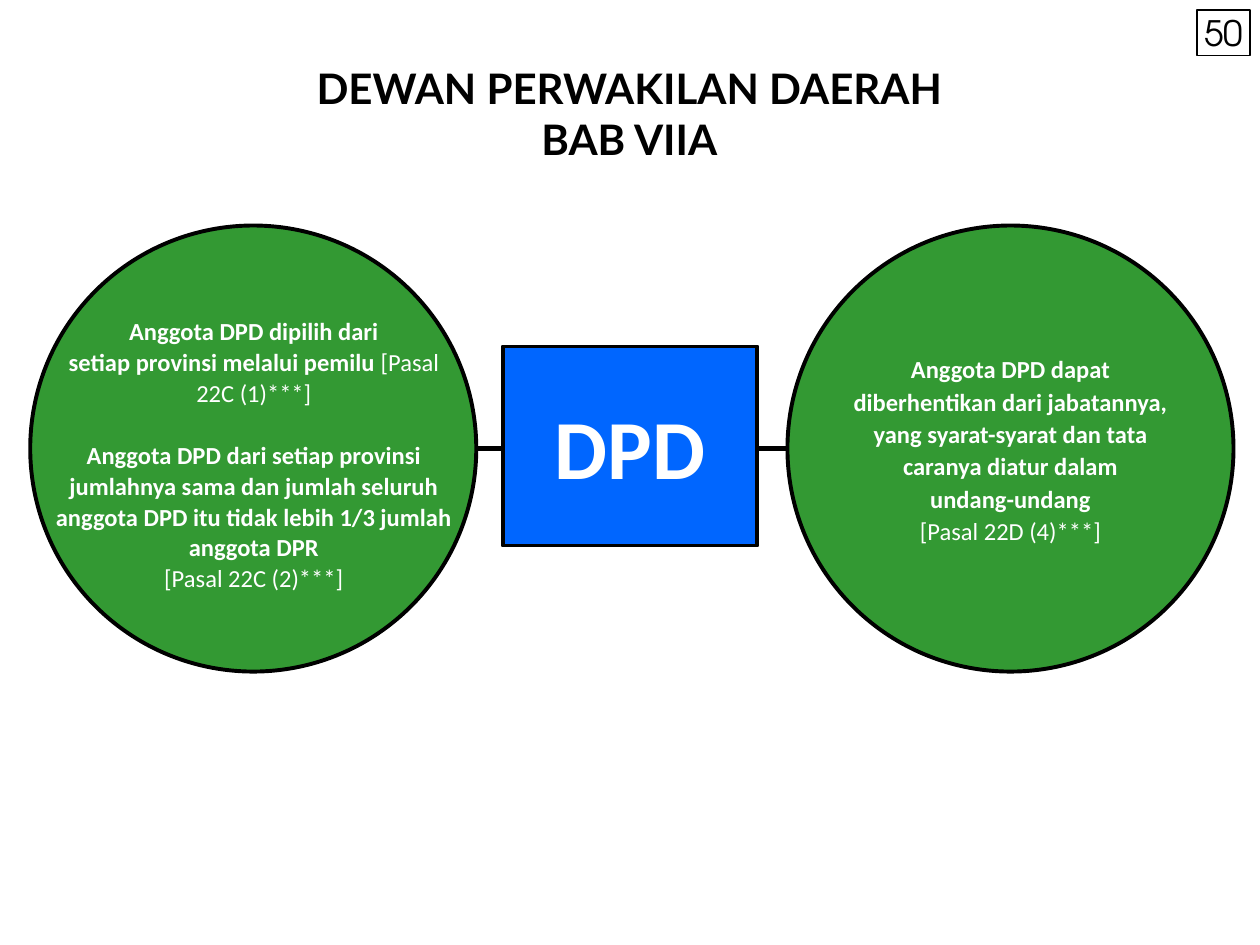
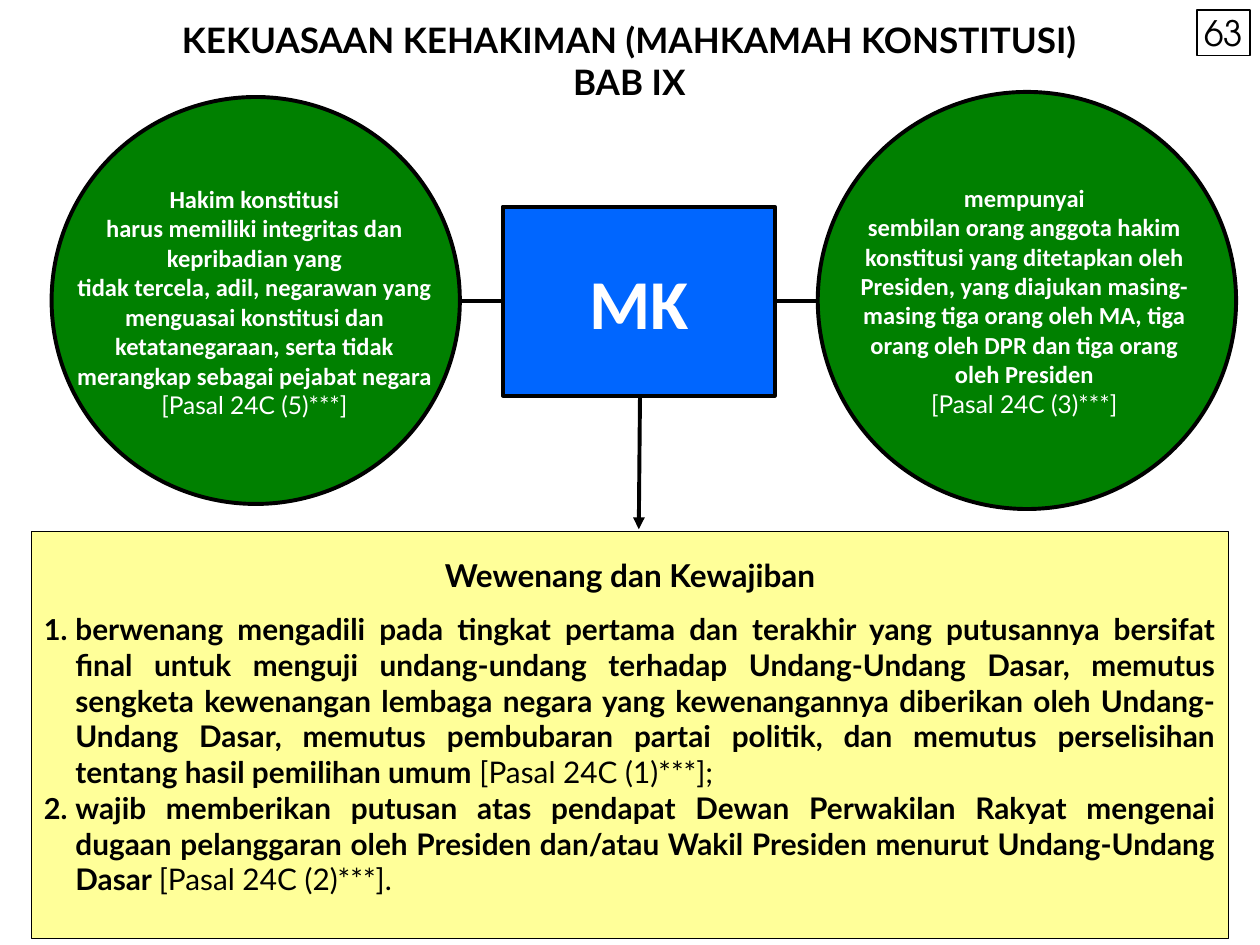
from lxml import etree
from pptx import Presentation
from pptx.dml.color import RGBColor
from pptx.enum import shapes, text
from pptx.oxml.ns import qn
from pptx.util import Inches, Pt

BLACK, WHITE, BLUE, YELLOW = "000000", "FFFFFF", "0066FF", "FFFF00"
BODY, HEAD, NUMBER = "Calibri", "Lato", "TeX Gyre Adventor"
PAGE_BOX = (9.5, 0.08, 0.42, 0.36)

# Content: a paragraph is (bold part, plain part); boxes are left, top, width, height
SLIDES = [
    dict(
        page="50", title=["DEWAN PERWAKILAN DAERAH", "BAB VIIA"],
        title_top=0.45, title_size=24,
        organ="DPD", organ_box=(3.99, 2.75, 2.02, 1.58), organ_size=48,
        line_y=3.56, line_width=3, lines=[(3.75, 4.01), (6.02, 6.25)],
        circle_fill="339933", note_font=BODY,
        circles=[
            dict(box=(0.24, 1.79, 3.54, 3.54), text_box=(0.43, 2.31, 3.17, 2.58),
                 spacing=1.05, gaps={2: 18}, paras=[
                     ("Anggota DPD dipilih dari", ""),
                     ("setiap provinsi melalui pemilu ", "[Pasal 22C (1)***]"),
                     ("Anggota DPD dari setiap provinsi jumlahnya sama dan jumlah "
                      "seluruh anggota DPD itu tidak lebih 1/3 jumlah", ""),
                     ("anggota DPR", ""),
                     ("", "[Pasal 22C (2)***]")]),
            dict(box=(6.25, 1.79, 3.54, 3.54), text_box=None, spacing=1.1, paras=[
                ("Anggota DPD dapat diberhentikan dari jabatannya, yang "
                 "syarat-syarat dan tata caranya diatur dalam", ""),
                ("undang-undang", ""),
                ("", "[Pasal 22D (4)***]")]),
        ],
    ),
    dict(
        page="63", title=["KEKUASAAN KEHAKIMAN (MAHKAMAH KONSTITUSI)", "BAB IX"],
        title_top=0.1, title_size=20,
        organ="MK", organ_box=(3.99, 1.64, 2.16, 1.5), organ_size=40,
        line_y=2.39, line_width=2.25, lines=[(3.64, 4.1), (6.11, 6.54)],
        circle_fill="008000", note_font=HEAD,
        circles=[
            dict(box=(0.41, 0.77, 3.24, 3.23), text_box=(0.6, 1.06, 2.84, 2.67), paras=[
                ("Hakim konstitusi", ""),
                ("harus memiliki integritas dan kepribadian yang", ""),
                ("tidak tercela, adil, negarawan yang menguasai konstitusi dan "
                 "ketatanegaraan, serta tidak merangkap sebagai pejabat negara", ""),
                ("", "[Pasal 24C (5)***]")]),
            dict(box=(6.49, 0.73, 3.32, 3.31), text_box=(6.71, 1.3, 2.84, 2.17), paras=[
                ("mempunyai", ""),
                ("sembilan orang anggota hakim konstitusi yang ditetapkan oleh "
                 "Presiden, yang diajukan masing-masing tiga orang oleh MA, tiga "
                 "orang oleh DPR dan tiga orang oleh Presiden", ""),
                ("", "[Pasal 24C (3)***]")]),
        ],
        arrow=(5.08, 3.08, 5.07, 4.2),
        duties_box=(0.25, 4.22, 9.5, 3.23),
        duties_title="Wewenang dan Kewajiban",
        duties=[
            ("berwenang mengadili pada tingkat pertama dan terakhir yang putusannya "
             "bersifat final untuk menguji undang-undang terhadap Undang-Undang Dasar, "
             "memutus sengketa kewenangan lembaga negara yang kewenangannya diberikan "
             "oleh Undang-Undang Dasar, memutus pembubaran partai politik, dan memutus "
             "perselisihan tentang hasil pemilihan umum ", "[Pasal 24C (1)***];"),
            ("wajib memberikan putusan atas pendapat Dewan Perwakilan Rakyat mengenai "
             "dugaan pelanggaran oleh Presiden dan/atau Wakil Presiden menurut "
             "Undang-Undang Dasar ", "[Pasal 24C (2)***]."),
        ],
    ),
]


def rgb(color):
    return RGBColor.from_string(color)


def add_xml(parent, tag, **attrs):
    return etree.SubElement(parent, qn(tag), attrs)


def add_box(slide, kind, box, fill=None, width=2.25):
    sp = slide.shapes.add_shape(kind, *map(Inches, box))
    sp.shadow.inherit = False
    if fill:
        sp.fill.solid()
        sp.fill.fore_color.rgb = rgb(fill)
    else:
        sp.fill.background()
    sp.line.color.rgb = rgb(BLACK)
    sp.line.width = Pt(width)
    return sp


def add_line(slide, x1, y1, x2, y2, width=2.25, arrow=False):
    line = slide.shapes.add_connector(
        shapes.MSO_CONNECTOR.STRAIGHT, *map(Inches, (x1, y1, x2, y2)))
    line.line.color.rgb = rgb(BLACK)
    line.line.width = Pt(width)
    if arrow:
        add_xml(line.line._get_or_add_ln(), "a:tailEnd", type="triangle")
    add_xml(line._element.spPr, "a:effectLst")


def set_frame(sp, anchor=text.MSO_ANCHOR.MIDDLE, insets=(0, 0, 0, 0)):
    tf = sp.text_frame
    tf.word_wrap = True
    tf.vertical_anchor = anchor
    tf.margin_left, tf.margin_top, tf.margin_right, tf.margin_bottom = map(Inches, insets)
    return tf


def write(tf, paras, size=14, font=BODY, note_font=None, color=WHITE, bold=True,
          align=text.PP_ALIGN.CENTER, spacing=None, gaps=None, hanging=0,
          numbered=False):
    """Append paragraphs of (bold part, plain part) to a text frame."""
    for i, parts in enumerate(paras):
        p = tf.add_paragraph() if tf.text else tf.paragraphs[0]
        p.alignment = align
        if spacing:
            p.line_spacing = spacing
        if gaps and i in gaps:
            p.space_before = Pt(gaps[i])
        if hanging:
            pPr = p._p.get_or_add_pPr()
            pPr.set("marL", str(Inches(hanging)))
            pPr.set("indent", str(-Inches(hanging)))
            if numbered:
                add_xml(pPr, "a:buSzPct", val="97000")
                add_xml(pPr, "a:buAutoNum", type="arabicPeriod")
        for part, is_bold, name in zip(parts, (bold, False), (font, note_font or font)):
            if part:
                r = p.add_run()
                r.text = part
                r.font.size, r.font.name, r.font.bold = Pt(size), name, is_bold
                r.font.color.rgb = rgb(color)


def add_title(slide, lines, top, size):
    sp = slide.shapes.add_textbox(*map(Inches, (0.08, top, 9.83, 0.9)))
    tf = set_frame(sp, text.MSO_ANCHOR.TOP, (0.1, 0.05, 0.1, 0.05))
    write(tf, [(line,) for line in lines], size=size, font=HEAD, color=BLACK)


def add_circle(slide, circle, fill, note_font):
    sp = add_box(slide, shapes.MSO_SHAPE.OVAL, circle["box"], fill)
    if circle["text_box"]:
        sp = slide.shapes.add_textbox(*map(Inches, circle["text_box"]))
    write(set_frame(sp), circle["paras"], note_font=note_font,
          spacing=circle.get("spacing"), gaps=circle.get("gaps"))


def add_duties(slide, box, heading, duties):
    sp = add_box(slide, shapes.MSO_SHAPE.RECTANGLE, box, YELLOW, width=0.75)
    add_xml(sp._element.spPr.find(".//" + qn("a:srgbClr")), "a:alpha", val="40000")
    tf = set_frame(sp, text.MSO_ANCHOR.TOP, (0.1, 0.19, 0.1, 0.05))
    style = dict(font=HEAD, color=BLACK, hanging=0.25)
    write(tf, [(heading,)], size=18, **style)
    write(tf, duties, size=17, align=text.PP_ALIGN.JUSTIFY, gaps={0: 10},
          numbered=True, **style)


def build_slide(prs, d):
    slide = prs.slides.add_slide(prs.slide_layouts[6])
    add_title(slide, d["title"], d["title_top"], d["title_size"])

    # Page number
    sp = add_box(slide, shapes.MSO_SHAPE.RECTANGLE, PAGE_BOX, width=0.75)
    write(set_frame(sp), [(d["page"],)], size=20, font=NUMBER, color=BLACK, bold=False)

    # Lines, then the institution and its circles on top
    for x1, x2 in d["lines"]:
        add_line(slide, x1, d["line_y"], x2, d["line_y"], d["line_width"])
    if "arrow" in d:
        add_line(slide, *d["arrow"], arrow=True)
    sp = add_box(slide, shapes.MSO_SHAPE.RECTANGLE, d["organ_box"], BLUE)
    write(set_frame(sp), [(d["organ"],)], size=d["organ_size"])
    for circle in d["circles"]:
        add_circle(slide, circle, d["circle_fill"], d["note_font"])

    # Powers and duties
    if "duties" in d:
        add_duties(slide, d["duties_box"], d["duties_title"], d["duties"])


def main():
    prs = Presentation()
    prs.slide_width, prs.slide_height = Inches(10), Inches(7.5)
    for d in SLIDES:
        build_slide(prs, d)
    prs.save("out.pptx")


if __name__ == "__main__":
    main()
